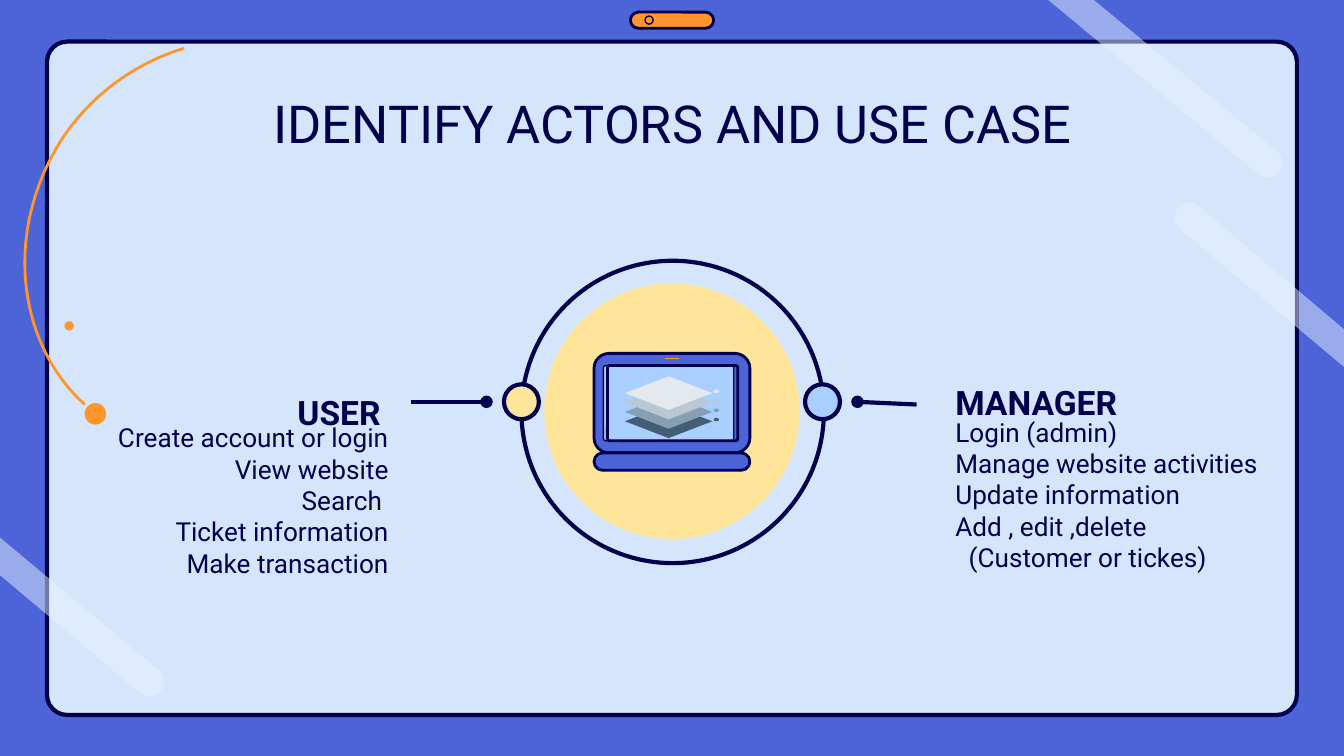
"""Build the slide of actors and use cases on a grid of 100 columns, each a tenth of an inch."""
from dataclasses import dataclass
from math import cos, radians, sin

from lxml import etree
from pptx import Presentation
from pptx import util as u
from pptx.dml.color import RGBColor
from pptx.enum import shapes, text
from pptx.oxml import ns


@dataclass(frozen=True)
class Theme:
    font: str = "Roboto"
    navy: str = "00004D"
    blue: str = "4C64D8"
    sky: str = "A8CFFF"
    card: str = "D5E6FC"
    stripe: str = "E9F3FF"
    orange: str = "FF952B"
    cream: str = "FFE599"
    layers: tuple = ("435D74", "869FB2", "BAC8D3", "E3E9ED")
    title_size: int = 28
    heading_size: int = 18
    body_size: int = 14
    bold_line: float = 2.25
    medium_line: float = 1.5
    thin_line: float = 0.75


theme = Theme()
ROUND = shapes.MSO_SHAPE.ROUNDED_RECTANGLE
OVAL = shapes.MSO_SHAPE.OVAL
DIAMOND = shapes.MSO_SHAPE.DIAMOND
LEFT, CENTER, RIGHT = text.PP_ALIGN.LEFT, text.PP_ALIGN.CENTER, text.PP_ALIGN.RIGHT
TOP, MIDDLE = text.MSO_ANCHOR.TOP, text.MSO_ANCHOR.MIDDLE

presentation = Presentation()
presentation.slide_width = u.Inches(10)
presentation.slide_height = u.Inches(5.625)
cell = presentation.slide_width / 100
slide = presentation.slides.add_slide(presentation.slide_layouts[6])
slide.background.fill.solid()
slide.background.fill.fore_color.rgb = RGBColor.from_string(theme.blue)


def grid(*values):
    """Turn grid cells into slide lengths."""
    return [u.Emu(round(value * cell)) for value in values]


def draw(kind, place, fill=None, line=None, weight=0, corner=None):
    """Add a preset shape in a box, or an outline through points if kind is None."""
    if kind is None:
        points = [grid(*point) for point in place]
        builder = slide.shapes.build_freeform(*points[0], scale=1.0)
        builder.add_line_segments(points[1:], close=fill is not None)
        shape = builder.convert_to_shape()
    else:
        shape = slide.shapes.add_shape(kind, *grid(*place))
    if corner is not None:
        shape.adjustments[0] = corner
    shape.shadow.inherit = False
    if fill:
        shape.fill.solid()
        shape.fill.fore_color.rgb = RGBColor.from_string(fill)
    else:
        shape.fill.background()
    if line:
        shape.line.color.rgb = RGBColor.from_string(line)
        shape.line.width = u.Pt(weight)
    else:
        shape.line.fill.background()
    return shape


draw(ROUND, (3.5, 3.1, 93, 50.1), theme.card, theme.navy, theme.bold_line, 0.03)
draw(ROUND, (46.9, 0.9, 6.2, 1.2), theme.orange, theme.navy, theme.medium_line, 0.5)
draw(OVAL, (48, 1.2, 0.6, 0.6), None, theme.navy, theme.thin_line)

swoosh = []
for a, b, c, d in (
    ((6.3, 30.1), (1.45, 25.7), (0.3, 17.8), (4.15, 11.1)),
    ((4.15, 11.1), (6.4, 7.25), (10, 4.7), (13.7, 3.6)),
):
    for step in range(25):
        t = step / 24
        s = 1 - t
        swoosh.append([
            s**3 * a[axis] + 3 * s * s * t * b[axis] + 3 * s * t * t * c[axis] + t**3 * d[axis]
            for axis in (0, 1)
        ])
draw(None, swoosh, None, theme.orange, theme.medium_line)
draw(OVAL, (4.8, 23.9, 0.7, 0.7), theme.orange)
draw(OVAL, (6.3, 30, 1.6, 1.6), theme.orange)

cap_radius = 1.1
for cap_x, cap_y, heading, edge in (
    (94.3, 12.1, 40, [(78, 0), (81.4, 0)]),
    (11.1, 50.7, 40, [(0, 42.8), (0, 40)]),
    (88.5, 16.2, 220, [(100, 24.5), (100, 27.3)]),
):
    angles = [radians(heading + turn) for turn in range(-90, 91, 10)]
    cap = [(cap_x + cap_radius * cos(angle), cap_y + cap_radius * sin(angle)) for angle in angles]
    stripe = draw(None, cap + edge, theme.stripe)
    color = stripe.element.spPr.find(".//" + ns.qn("a:srgbClr"))
    etree.SubElement(color, ns.qn("a:alpha"), val="50000")

draw(OVAL, (40.5, 21.1, 19, 19), theme.cream)
draw(OVAL, (38.8, 19.4, 22.5, 22.5), None, theme.navy, theme.bold_line)
draw(ROUND, (44.2, 26.3, 11.6, 7.4), theme.blue, theme.navy, theme.medium_line, 0.15)
draw(ROUND, (44.9, 27.2, 9.7, 5.6), theme.sky, theme.navy, theme.thin_line, 0.03)
draw(ROUND, (45.2, 27.2, 9.7, 5.6), None, theme.navy, theme.medium_line, 0.03)
draw(ROUND, (44.2, 33.7, 11.6, 1.3), theme.blue, theme.navy, theme.medium_line, 0.5)
for left, fill in ((37.5, theme.cream), (59.9, theme.sky)):
    draw(OVAL, (left, 28.6, 2.6, 2.6), fill, theme.navy, theme.bold_line)
for index, fill in enumerate(theme.layers):
    top = 30.1 - 0.7 * index
    draw(DIAMOND, (46.5, top, 6.5, 2.5), fill)
    draw(OVAL, (53.1, top + 1, 0.4, 0.25), fill)

for ends, color, weight, tail in (
    ((49.5, 26.7, 50.5, 26.7), theme.orange, theme.thin_line, "none"),
    ((30.6, 29.9, 36.2, 29.9), theme.navy, theme.bold_line, "oval"),
    ((68.2, 30.1, 63.8, 29.9), theme.navy, theme.bold_line, "oval"),
):
    connector = slide.shapes.add_connector(shapes.MSO_CONNECTOR.STRAIGHT, *grid(*ends))
    connector.line.color.rgb = RGBColor.from_string(color)
    connector.line.width = u.Pt(weight)
    properties = connector.element.spPr
    etree.SubElement(properties.find(ns.qn("a:ln")), ns.qn("a:tailEnd"), type=tail)
    etree.SubElement(properties, ns.qn("a:effectLst"))

user_cases = ["Create account or login", "View website", "Search ", "Ticket information", "Make transaction"]
manager_cases = ["Login (admin)", "Manage website activities", "Update information", "Add , edit ,delete",
                 "(Customer or tickes)"]
for box, lines, size, bold, alignment, anchor in (
    ((7.9, 5.8, 84.2, 6.3), ["IDENTIFY ACTORS AND USE CASE"], theme.title_size, False, CENTER, TOP),
    ((70.1, 31, 24.7, 11.6), manager_cases, theme.body_size, False, LEFT, MIDDLE),
    ((70.1, 28, 22.7, 3.9), ["MANAGER"], theme.heading_size, True, LEFT, MIDDLE),
    ((3.8, 31.7, 26.1, 11), user_cases, theme.body_size, False, RIGHT, MIDDLE),
    ((6.6, 28.7, 22.7, 3.9), ["USER"], theme.heading_size, True, RIGHT, MIDDLE),
):
    frame = slide.shapes.add_textbox(*grid(*box)).text_frame
    frame.word_wrap = True
    frame.vertical_anchor = anchor
    frame.margin_left = frame.margin_top = frame.margin_right = frame.margin_bottom = u.Inches(0.1)
    frame.text = "\n".join(lines)
    for paragraph in frame.paragraphs:
        paragraph.alignment = alignment
        paragraph.font.name = theme.font
        paragraph.font.size = u.Pt(size)
        paragraph.font.bold = bold
        paragraph.font.color.rgb = RGBColor.from_string(theme.navy)
        if paragraph.text.startswith("("):
            paragraph._p.get_or_add_pPr().set("marL", str(u.Inches(0.1)))

presentation.save("out.pptx")
